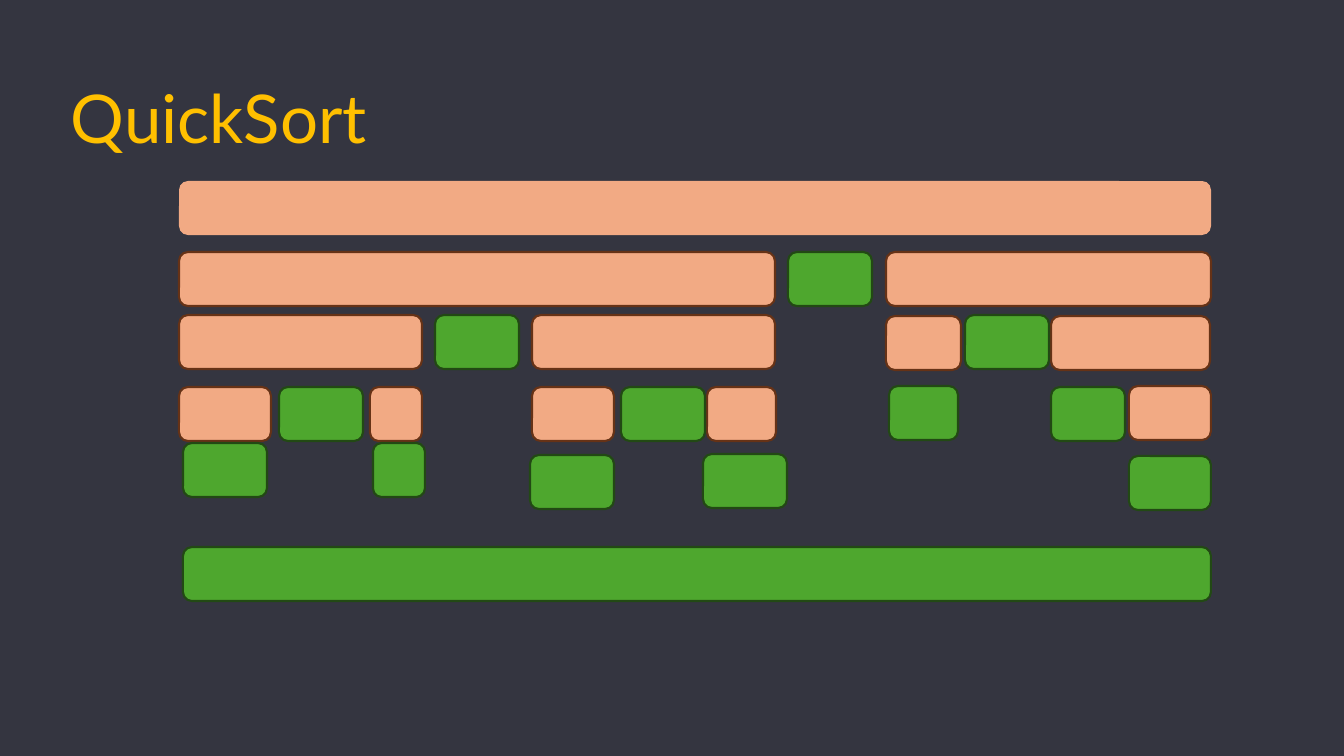
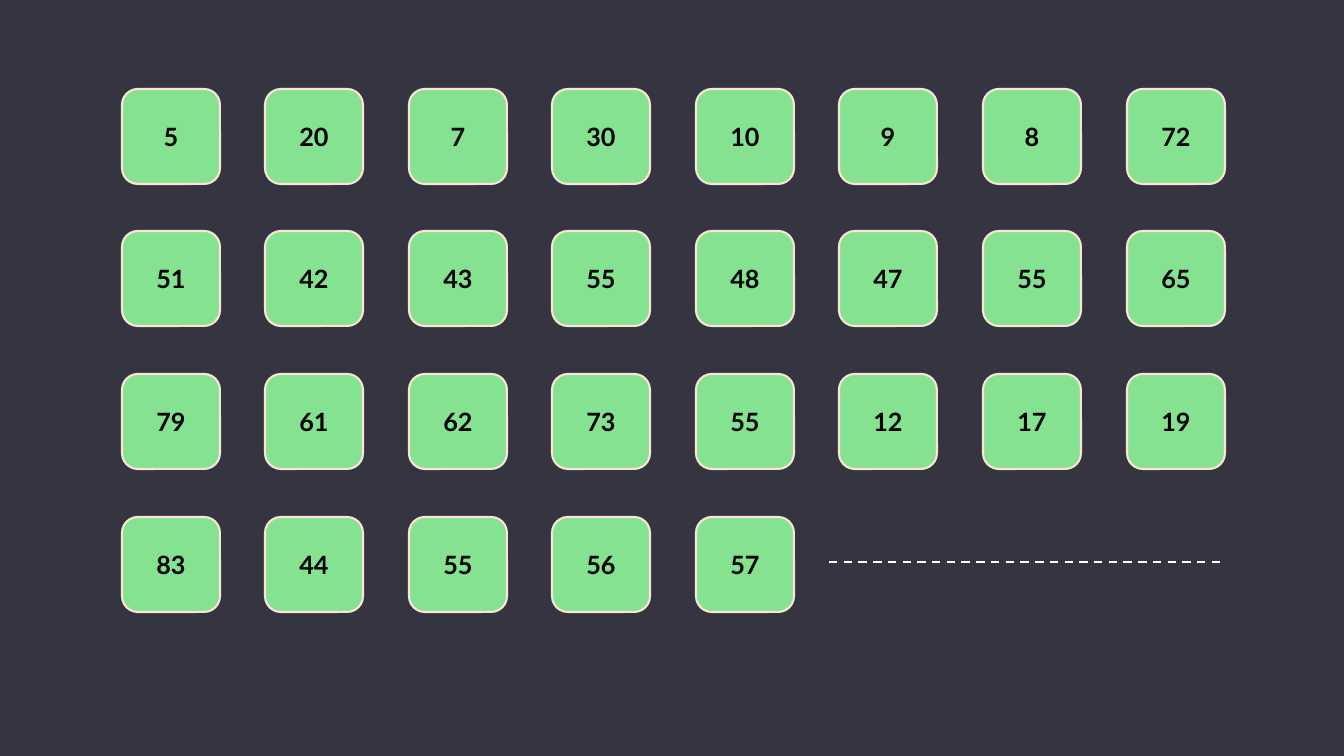
"""Build two QuickSort slides: the partition levels and a grid of numbers."""
from lxml.etree import SubElement
from pptx import Presentation
from pptx.dml.color import RGBColor
from pptx.enum.dml import MSO_LINE
from pptx.enum.shapes import MSO_CONNECTOR, MSO_SHAPE
from pptx.enum.text import MSO_ANCHOR, PP_ALIGN
from pptx.oxml.ns import qn
from pptx.util import Pt

PX = 914400 / 100.8
FONT = "Lato"
BACK, GOLD, BLACK, WHITE = "343540", "FFC000", "000000", "FFFFFF"
PEACH, BROWN = "F2AA84", "663216"
GREEN, FOREST = "4EA72E", "224914"
MINT, CREAM = "84E291", "FBE3D6"
hue = RGBColor.from_string


def box(slide, area, fill, edge=None):
    """Draw a rounded box at a px area."""
    shape = slide.shapes.add_shape(
        MSO_SHAPE.ROUNDED_RECTANGLE, *[round(v * PX) for v in area])
    shape.shadow.inherit = False
    shape.fill.solid()
    shape.fill.fore_color.rgb = hue(fill)
    if edge:
        shape.line.color.rgb = hue(edge)
        shape.line.width = Pt(1.5)
    else:
        shape.line.fill.background()
    return shape


def write(shape, text, size, color, anchor, bold=False):
    """Put one styled line of text into a shape."""
    frame = shape.text_frame
    frame.text = text
    frame.word_wrap = True
    frame.vertical_anchor = anchor
    para = frame.paragraphs[0]
    font = para.runs[0].font
    font.name, font.size, font.bold = FONT, Pt(size), bold
    font.color.rgb = hue(color)
    return para


deck = Presentation()
deck.slide_width, deck.slide_height = round(1344 * PX), round(756 * PX)
slides = [deck.slides.add_slide(deck.slide_layouts[6]) for _ in range(2)]
for slide in slides:
    slide.background.fill.solid()
    slide.background.fill.fore_color.rgb = hue(BACK)
sort, grid = slides

title = sort.shapes.add_textbox(*[round(v * PX) for v in (61, 58, 343, 105)])
para = write(title, "QuickSort", 48, GOLD, MSO_ANCHOR.BOTTOM)
para.line_spacing = 0.9

HIGH = 54
box(sort, (179, 181, 1032, HIGH), PEACH)

parts = [
    (179, 252, 596), (886, 252, 325),
    (179, 315, 243), (532, 315, 243), (886, 316, 75), (1051, 316, 159),
    (179, 387, 92), (370, 387, 52), (532, 387, 82), (707, 387, 69),
    (1129, 386, 82),
]
pivots = [
    (788, 252, 84),
    (435, 315, 84), (965, 315, 84),
    (279, 387, 84), (621, 387, 84), (889, 386, 69), (1051, 387, 74),
    (183, 443, 84), (373, 443, 52), (530, 455, 84), (703, 454, 84),
    (1129, 456, 82),
    (183, 547, 1028),
]
for spans, fill, edge in ((parts, PEACH, BROWN), (pivots, GREEN, FOREST)):
    for left, top, wide in spans:
        box(sort, (left, top, wide, HIGH), fill, edge)

rows = [
    (5, 20, 7, 30, 10, 9, 8, 72),
    (51, 42, 43, 55, 48, 47, 55, 65),
    (79, 61, 62, 73, 55, 12, 17, 19),
    (83, 44, 55, 56, 57),
]
for r, row in enumerate(rows):
    for c, value in enumerate(row):
        area = (122 + 1005 * c // 7, 89 + 428 * r // 3, 98, 95)
        tile = box(grid, area, MINT, CREAM)
        para = write(tile, str(value), 18, BLACK, MSO_ANCHOR.MIDDLE, True)
        para.alignment = PP_ALIGN.CENTER

dash = grid.shapes.add_connector(
    MSO_CONNECTOR.STRAIGHT, *[round(v * PX) for v in (829, 562, 1225, 562)])
dash.line.color.rgb = hue(WHITE)
dash.line.width = Pt(1.5)
dash.line.dash_style = MSO_LINE.DASH
SubElement(dash._element.spPr, qn("a:effectLst"))

deck.save("out.pptx")
